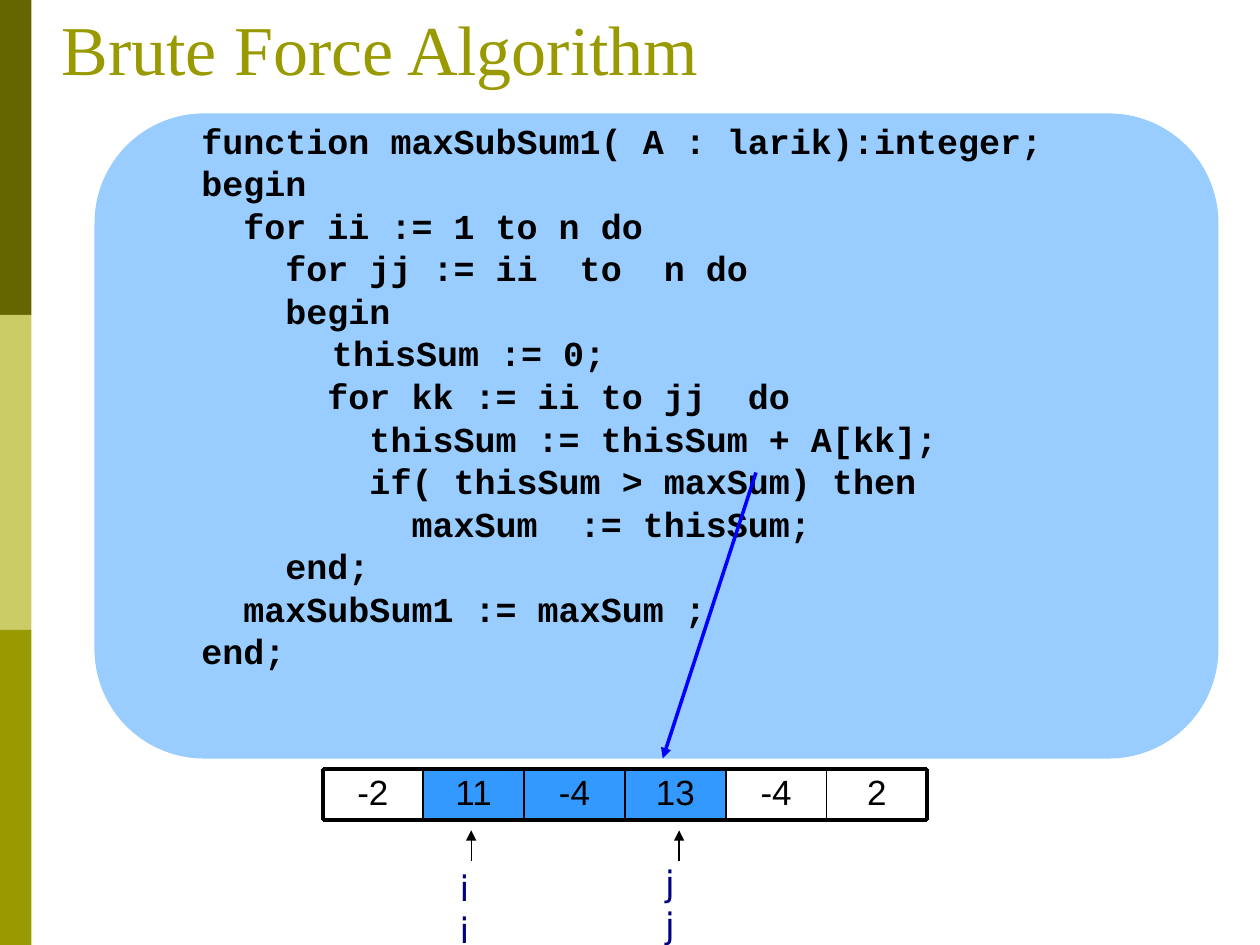
import pptx
import pptx.util
import pptx.dml.color
import pptx.enum.shapes
import pptx.enum.text
import pptx.oxml.ns
import lxml.etree

Inches, Pt = pptx.util.Inches, pptx.util.Pt
SHAPES = pptx.enum.shapes.MSO_SHAPE
ANCHOR = pptx.enum.text.MSO_ANCHOR
ALIGN = pptx.enum.text.PP_ALIGN

COLORS = {
    "dark olive": "666600", "light olive": "CCCC66", "olive": "999900",
    "panel": "99CCFF", "range": "3399FF", "black": "000000",
    "navy": "000080", "blue": "0000FF",
}

# Content
TITLE = "Brute Force Algorithm"
SIDE_BANDS = ["dark olive", "light olive", "olive"]
CODE = [
    "function maxSubSum1( A : larik):integer;",
    "begin",
    "  for ii := 1 to n do",
    "    for jj := ii  to  n do",
    "    begin",
    "\t\t thisSum := 0;",
    "      for kk := ii to jj  do",
    "        thisSum := thisSum + A[kk];",
    "        if( thisSum > maxSum) then",
    "          maxSum  := thisSum;",
    "    end;",
    "  maxSubSum1 := maxSum ;",
    "end;",
]
VALUES = ["-2", "11", "-4", "13", "-4", "2"]
RANGE = range(1, 4)
INDEX_LABELS = [("ii", 3.55, 6.83), ("jj", 5.18, 6.79)]
# start, end, colour, width
ARROWS = [
    ((3.74, 6.83), (3.74, 6.59), "black", 0.75),
    ((5.39, 6.83), (5.39, 6.59), "black", 0.75),
    ((6, 3.75), (5.26, 6.02), "blue", 2),
]

# Formats
TITLE_FONT = {"name": "Times New Roman", "size": Pt(40), "color": "olive"}
CODE_FONT = {"name": "Courier New", "size": Pt(20), "bold": True, "color": "black"}
CELL_FONT = {"name": "Arial", "size": Pt(20), "color": "black"}
INDEX_FONT = {"name": "DejaVu Sans", "size": Pt(20), "color": "navy"}
CODE_SPACING = {"line_spacing": 0.7, "space_before": Pt(2.5), "space_after": Pt(5)}
CELL_SPACING = {"line_spacing": 0.9, "space_after": Pt(5), "alignment": ALIGN.CENTER}
CODE_INDENT = 0.37
CODE_TABS = [0] + [CODE_INDENT + 0.5 * step for step in range(7)]

ROW_LEFT, ROW_TOP, CELL_WIDTH, CELL_HEIGHT = 2.56, 6.1, 0.8, 0.41


def color(name):
    return pptx.dml.color.RGBColor.from_string(COLORS[name])


def set_format(target, values):
    for name, value in values.items():
        setattr(target, name, value)


def add_block(shapes, preset, box, fill=None, line=None):
    shape = shapes.add_shape(preset, *map(Inches, box))
    shape.shadow.inherit = False
    if fill:
        shape.fill.solid()
        shape.fill.fore_color.rgb = color(fill)
    else:
        shape.fill.background()
    if line:
        shape.line.color.rgb = color(line)
        shape.line.width = Pt(0.75)
    else:
        shape.line.fill.background()
    return shape


def add_line(shapes, start, end, line_color, width, arrow=False):
    line = shapes.add_connector(pptx.enum.shapes.MSO_CONNECTOR.STRAIGHT,
                                *map(Inches, start + end))
    line.line.color.rgb = color(line_color)
    line.line.width = Pt(width)
    qn = pptx.oxml.ns.qn
    if arrow:
        lxml.etree.SubElement(line.line._get_or_add_ln(), qn("a:tailEnd"), type="triangle")
    lxml.etree.SubElement(line._element.spPr, qn("a:effectLst"))


def add_code_tabs(paragraph):
    qn = pptx.oxml.ns.qn
    properties = paragraph._p.get_or_add_pPr()
    properties.set("marL", str(Inches(CODE_INDENT)))
    properties.set("indent", str(-Inches(CODE_INDENT)))
    tabs = lxml.etree.SubElement(properties, qn("a:tabLst"))
    for position in CODE_TABS:
        lxml.etree.SubElement(tabs, qn("a:tab"), pos=str(Inches(position)), algn="l")


def write(frame, lines, font, spacing=None, tabs=False, anchor=ANCHOR.TOP):
    frame.word_wrap = True
    frame.vertical_anchor = anchor
    for number, text in enumerate(lines):
        paragraph = frame.add_paragraph() if number else frame.paragraphs[0]
        if tabs:
            add_code_tabs(paragraph)
        set_format(paragraph, spacing or {})
        if number == 0:
            paragraph.space_before = Pt(0)
        run = paragraph.add_run()
        run.text = text
        set_format(run.font, {key: value for key, value in font.items() if key != "color"})
        run.font.color.rgb = color(font["color"])


def add_text(shapes, box, lines, font, **options):
    write(shapes.add_textbox(*map(Inches, box)).text_frame, lines, font, **options)


def add_array(shapes):
    group = shapes.add_group_shape().shapes
    edges = [ROW_LEFT + CELL_WIDTH * i for i in range(len(VALUES) + 1)]
    bottom = ROW_TOP + CELL_HEIGHT
    for i, value in enumerate(VALUES):
        cell = add_block(group, SHAPES.RECTANGLE,
                         (edges[i], ROW_TOP, CELL_WIDTH, CELL_HEIGHT),
                         "range" if i in RANGE else None, "black")
        write(cell.text_frame, [value], CELL_FONT, CELL_SPACING, anchor=ANCHOR.MIDDLE)
    for y in (ROW_TOP, bottom):
        add_line(group, (edges[0], y), (edges[-1], y), "black", 2.25)
    for x in edges:
        width = 2.25 if x in (edges[0], edges[-1]) else 1
        add_line(group, (x, ROW_TOP), (x, bottom), "black", width)


def main():
    presentation = pptx.Presentation()
    presentation.slide_width, presentation.slide_height = Inches(10), Inches(7.5)
    slide = presentation.slides.add_slide(presentation.slide_layouts[6])
    shapes = slide.shapes

    # Side bands and title
    for i, band in enumerate(SIDE_BANDS):
        add_block(shapes, SHAPES.RECTANGLE, (0, 2.5 * i, 0.25, 2.5), band)
    add_text(shapes, (0.39, 0.07, 9.45, 0.69), [TITLE], TITLE_FONT, anchor=ANCHOR.BOTTOM)

    # Code panel
    panel = add_block(shapes, SHAPES.ROUNDED_RECTANGLE, (0.75, 0.9, 8.92, 5.12), "panel")
    panel.adjustments[0] = 0.17
    add_text(shapes, (1.5, 0.99, 8.37, 5.84), CODE, CODE_FONT,
             spacing=CODE_SPACING, tabs=True)

    # Array with index labels and arrows
    add_array(shapes)
    for label, left, top in INDEX_LABELS:
        add_text(shapes, (left, top, 0.34, 0.44), [label], INDEX_FONT)
    for arrow in ARROWS:
        add_line(shapes, *arrow, arrow=True)

    presentation.save("out.pptx")


if __name__ == "__main__":
    main()
